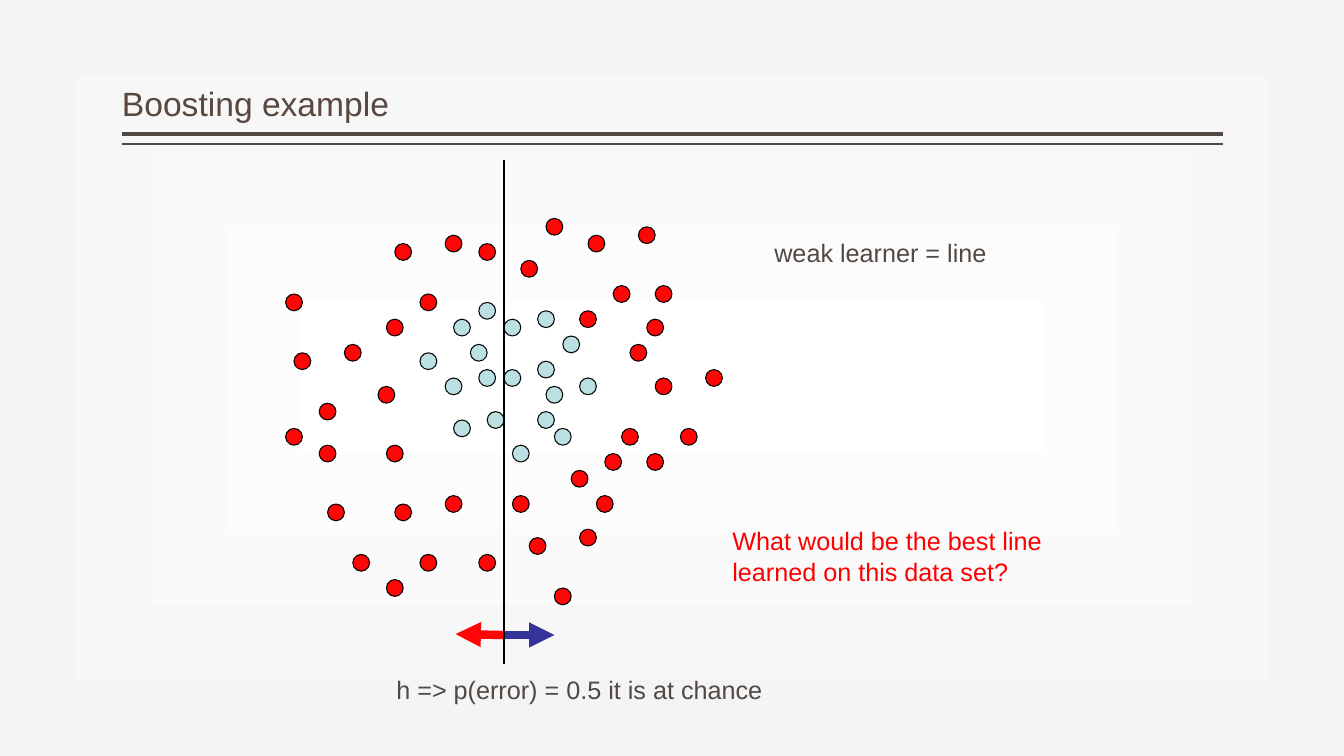
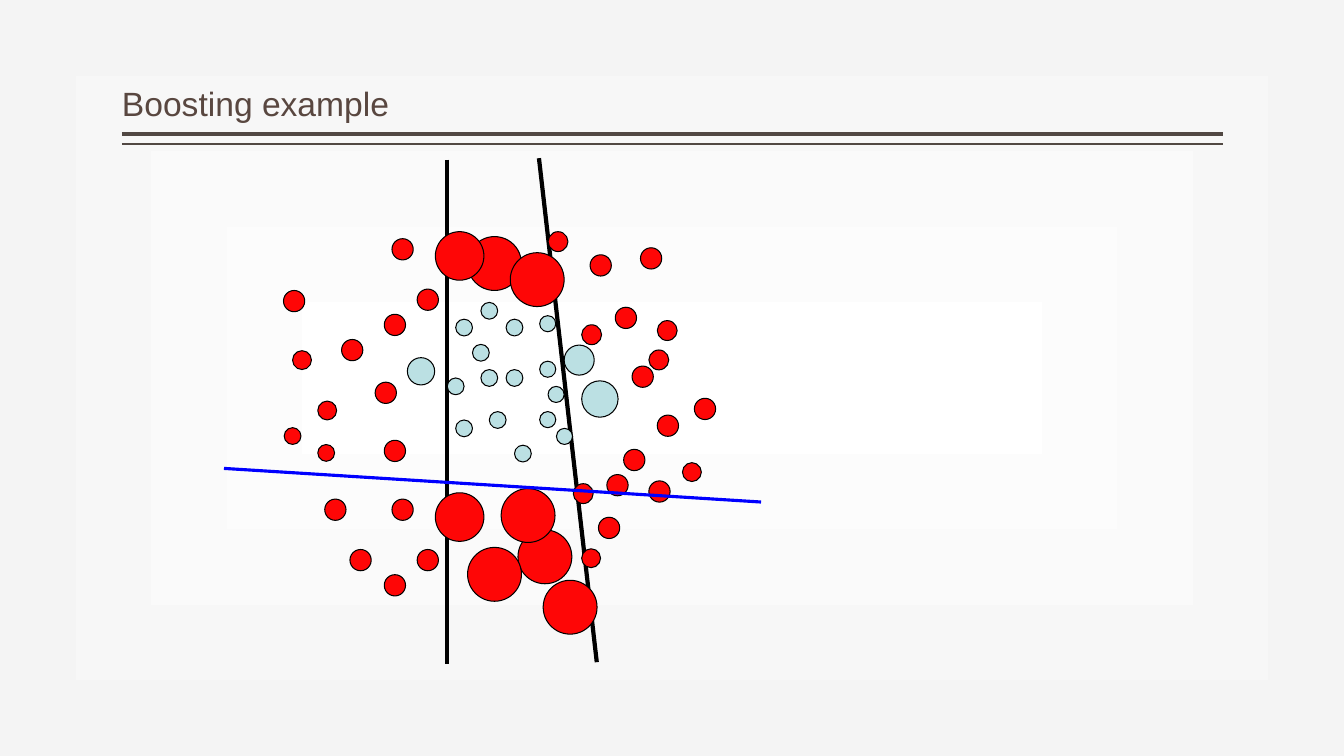
from pptx import Presentation
from pptx.dml.color import RGBColor
from pptx.enum.shapes import MSO_CONNECTOR, MSO_SHAPE
from pptx.enum.text import MSO_ANCHOR, MSO_AUTO_SIZE, PP_ALIGN
from pptx.oxml import parse_xml
from pptx.oxml.ns import nsdecls, qn
from pptx.util import Pt
from lxml.etree import SubElement

# Shared style
FONT = "Arial"
TITLE = "Boosting example"
BROWN, GREY, BLACK = "594740", "514843", "000000"
RED, PALE = "FE0606", "BBE0E3"
LEFT, RIGHT = 87.12, 873.36
RULES = [(95.9, 3), (102.9, 1)]  # y, weight

# First slide: dots on a grid of 6 points (column, row)
GRID, DOT = 6, 12
CLASSES = [
    (PALE, [
        (60, 38), (64, 37), (67, 40), (57, 44), (64, 49), (69, 45),
        (54, 50), (60, 44), (64, 43), (65, 46), (58, 49), (53, 45),
        (54, 38), (61, 53), (56, 41), (66, 51), (50, 42), (57, 36)]),
    (RED, [
        (78, 45), (77, 38), (74, 51), (77, 54), (84, 44), (81, 51),
        (35, 42), (34, 35), (34, 51), (41, 41), (38, 48), (47, 60),
        (46, 53), (46, 69), (53, 59), (50, 66), (63, 64), (61, 59),
        (57, 66), (69, 63), (66, 70), (47, 29), (57, 29), (46, 38),
        (53, 28), (50, 35), (70, 28), (62, 31), (69, 37), (76, 27),
        (73, 34), (39, 60), (38, 53), (45, 46), (42, 66), (65, 26),
        (78, 34), (75, 41), (68, 56), (71, 59), (72, 54)]),
]
# x1, y1, x2, y2, colour, weight, arrow
SPLIT = [
    (360, 114, 360, 474, BLACK, 0.75, False),
    (359.5, 453.6, 325.5, 452.9, RED, 6, True),
    (360.5, 453.6, 396, 453.6, "333399", 6, True),
]
# text, box, colour, wrap, line spacing
NOTES = [
    ("h => p(error) = 0.5 it is at chance", (276, 480, 283.5, 28),
     GREY, False, 0.93),
    ("weak learner = line", (546, 165.6, 168, 29), GREY, False, 1),
    ("What would be the best line learned on this data set?",
     (516, 372, 300, 51), "FF0000", True, 1),
]

# Second slide: dots by colour and width (left, top)
WEIGHTED = [
    (PALE, 12, [
        (361.5, 228), (343.5, 264), (325.5, 300), (361.5, 264), (349.5, 294),
        (319.5, 270), (325.5, 228), (367.5, 318), (337.5, 246),
        (343.5, 216)]),
    (PALE, 11.5, [
        (385.5, 225.5), (385.5, 294), (385.5, 258), (391.5, 276),
        (397.5, 306)]),
    (PALE, 19.5, [(291, 255.5)]),
    (RED, 12, [(203, 305.5), (227, 317.5)]),
    (RED, 13.5, [
        (487.5, 330.5), (209, 250.5), (227, 286.5), (415.5, 392)]),
    (RED, 14.2, [
        (463.5, 250), (415.5, 232), (391.5, 165.5), (469.5, 229),
        (409.5, 345.5)]),
    (RED, 15.2, [
        (469.5, 296.5), (445.5, 321), (463.5, 343.5), (496, 284.5),
        (202.5, 207.5), (244, 242.5), (280, 356.5), (274.5, 314.5),
        (274.5, 410.5), (298, 392.5), (280, 170.5), (274.5, 224.5),
        (298, 206.5), (421.5, 182), (457.5, 177), (439.5, 219.5),
        (232, 356.5), (268, 273), (250, 392.5), (451.5, 261.5),
        (427.5, 369.5), (433.5, 339)]),
    (RED, 38.5, [
        (370, 378.5), (358, 349), (334, 391), (388, 414.5), (334, 169),
        (364.5, 180.5)]),
    (RED, 34.7, [(311, 352), (311, 165.5)]),
]
TOP = [(PALE, 21.5, [(403, 246.5)]), (PALE, 26, [(415.5, 272)])]
STEEP = [
    (319.5, 114, 319.5, 474, BLACK, 3, False),
    (385, 113, 426.3, 473, BLACK, 3, False),
]
FLAT = [(160, 334.6, 543.6, 358.6, "0000FF", 2.25, False)]


def color(code):
    return RGBColor.from_string(code)


def style(para, size, code, space):
    para.alignment = PP_ALIGN.LEFT
    para.line_spacing = space
    for run in para.runs:
        run.font.name, run.font.size = FONT, Pt(size)
        run.font.color.rgb = color(code)


def draw_lines(slide, rows):
    made = []
    for x1, y1, x2, y2, code, weight, arrow in rows:
        line = slide.shapes.add_connector(
            MSO_CONNECTOR.STRAIGHT, Pt(x1), Pt(y1), Pt(x2), Pt(y2))
        line.line.color.rgb = color(code)
        line.line.width = Pt(weight)
        props = line.element.spPr
        if arrow:
            SubElement(props.find(qn("a:ln")), qn("a:tailEnd"),
                       type="triangle")
        SubElement(props, qn("a:effectLst"))
        made.append(line)
    return made


def draw_dots(slide, groups):
    for code, size, spots in groups:
        for x, y in spots:
            dot = slide.shapes.add_shape(
                MSO_SHAPE.OVAL, Pt(x), Pt(y), Pt(size), Pt(size))
            dot.shadow.inherit = False
            dot.fill.solid()
            dot.fill.fore_color.rgb = color(code)
            dot.line.color.rgb = color(BLACK)
            dot.line.width = Pt(0.75)


def add_note(slide, text, box, code, wrap, space):
    frame = slide.shapes.add_textbox(*map(Pt, box)).text_frame
    frame.word_wrap = wrap
    frame.text = text
    style(frame.paragraphs[0], 18, code, space)


def set_back(master):
    master.background.fill.solid()
    old = master.element.find(".//" + qn("p:bgPr")).find(qn("a:solidFill"))
    old.getparent().replace(old, parse_xml(
        f'<a:gradFill {nsdecls("a")} rotWithShape="1"><a:gsLst>'
        '<a:gs pos="0"><a:srgbClr val="FFFFFF"/></a:gs>'
        '<a:gs pos="100000"><a:srgbClr val="F4F4F4">'
        '<a:alpha val="80000"/></a:srgbClr></a:gs></a:gsLst>'
        '<a:path path="rect"><a:fillToRect l="5000" t="5000" r="5000" '
        'b="5000"/></a:path></a:gradFill>'))


def add_slide(prs):
    slide = prs.slides.add_slide(prs.slide_layouts[5])
    title = slide.shapes.title
    title.left, title.top = Pt(LEFT), Pt(5.76)
    title.width, title.height = Pt(RIGHT - LEFT), Pt(86.4)
    frame = title.text_frame
    frame.text = TITLE
    frame.auto_size = MSO_AUTO_SIZE.NONE
    frame.vertical_anchor = MSO_ANCHOR.BOTTOM
    frame.margin_left = frame.margin_right = 0
    style(frame.paragraphs[0], 24, BROWN, 0.93)
    return slide


def main():
    prs = Presentation()
    prs.slide_width, prs.slide_height = Pt(960), Pt(540)
    set_back(prs.slide_master)

    # Even weights and a single line
    slide = add_slide(prs)
    rules = [(LEFT, y, RIGHT, y, GREY, w, False) for y, w in RULES]
    for rule in draw_lines(slide, rules):
        slide.slide_layout.shapes.element.append(rule.element)
    draw_dots(slide, [
        (code, DOT, [(col * GRID, row * GRID) for col, row in cells])
        for code, cells in CLASSES])
    draw_lines(slide, SPLIT)
    for note in NOTES:
        add_note(slide, *note)

    # Weighted dots and three lines
    slide = add_slide(prs)
    draw_lines(slide, STEEP)
    draw_dots(slide, WEIGHTED)
    draw_lines(slide, FLAT)
    draw_dots(slide, TOP)
    prs.save("out.pptx")


if __name__ == "__main__":
    main()
